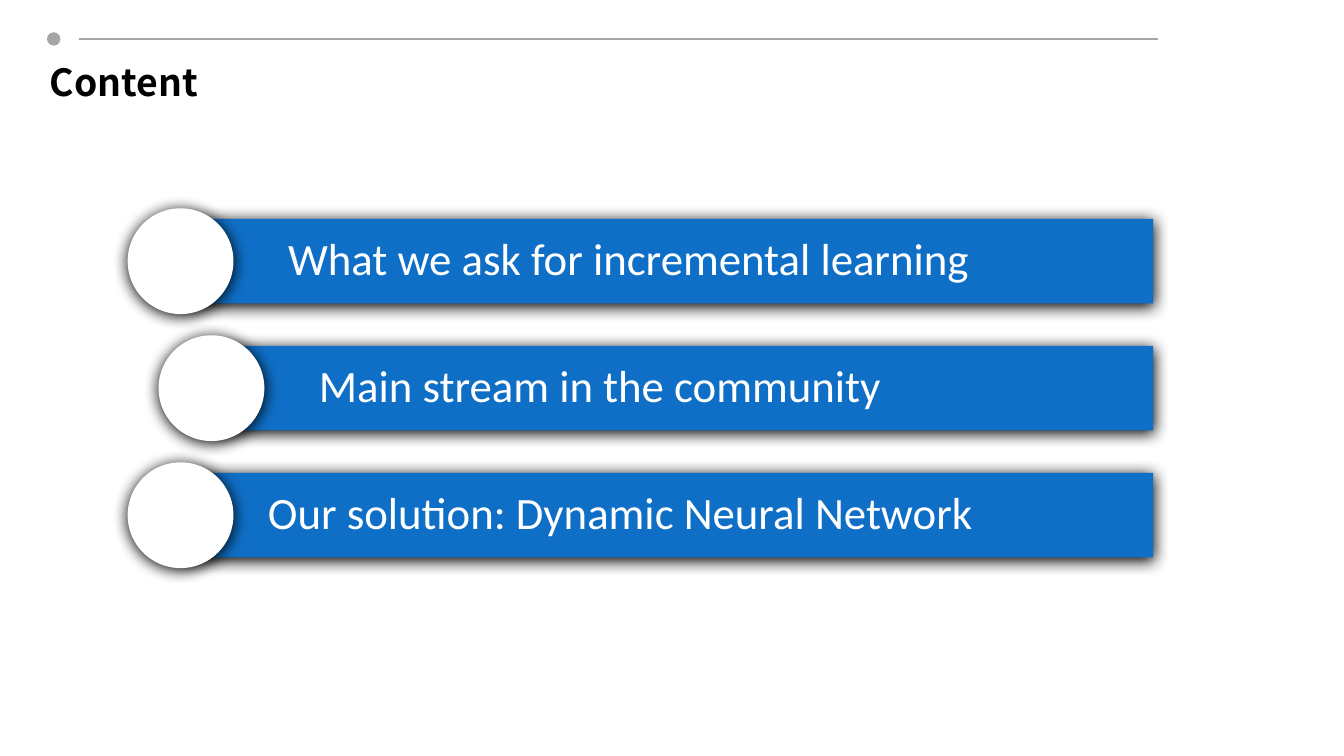
import lxml.etree
import pptx
import pptx.dml.color
import pptx.enum.shapes
import pptx.enum.text
import pptx.oxml.ns
import pptx.util

Inches = pptx.util.Inches
Shapes = pptx.enum.shapes.MSO_SHAPE
qn = pptx.oxml.ns.qn

GREY = "A6A6A6"
BLUE = "0F6FC6"
WHITE = "FFFFFF"
BLACK = "000000"


def paint(color_format, color):
    color_format.rgb = pptx.dml.color.RGBColor.from_string(color)


def format_text(paragraph, font_name, size, color, bold=False):
    paragraph.alignment = pptx.enum.text.PP_ALIGN.LEFT
    for run in paragraph.runs:
        run.font.name = font_name
        run.font.size = pptx.util.Pt(size)
        run.font.bold = bold
        paint(run.font.color, color)


def add_filled_shape(slide, kind, left, top, width, height, color):
    shape = slide.shapes.add_shape(
        kind, Inches(left), Inches(top), Inches(width), Inches(height)
    )
    shape.fill.solid()
    paint(shape.fill.fore_color, color)
    shape.line.fill.background()
    shape.shadow.inherit = False
    return shape


def add_soft_shadow(shape):
    effects = shape.element.spPr.find(qn("a:effectLst"))
    shadow = lxml.etree.SubElement(
        effects,
        qn("a:outerShdw"),
        blurRad=str(pptx.util.Pt(8.5)),
        dist=str(pptx.util.Pt(1)),
        dir="5400000",
        algn="ctr",
        rotWithShape="0",
    )
    lxml.etree.SubElement(shadow, qn("a:srgbClr"), val=BLACK)


def add_header_rule(slide, left, top, width, dot_size):
    middle = Inches(top + dot_size / 2)
    rule = slide.shapes.add_connector(
        pptx.enum.shapes.MSO_CONNECTOR.STRAIGHT,
        Inches(left + 0.24), middle, Inches(left + width), middle,
    )
    paint(rule.line.color, GREY)
    rule.line.width = pptx.util.Pt(0.75)
    lxml.etree.SubElement(rule.element.spPr, qn("a:effectLst"))
    add_filled_shape(slide, Shapes.OVAL, left, top, dot_size, dot_size, GREY)


def place_title(slide, text, left, top, width, height):
    title = slide.shapes.title
    title.left, title.top = Inches(left), Inches(top)
    title.width, title.height = Inches(width), Inches(height)
    frame = title.text_frame
    frame.text = text
    frame.auto_size = pptx.enum.text.MSO_AUTO_SIZE.NONE
    frame.vertical_anchor = pptx.enum.text.MSO_ANCHOR.TOP
    frame.margin_left = Inches(0.09)
    frame.margin_top = Inches(0.01)
    frame.margin_bottom = 0
    format_text(frame.paragraphs[0], "Noto Sans CJK SC", 20, BLACK, bold=True)


def add_agenda_item(slide, text, text_inset, left, top, width, bar_height):
    circle_size = bar_height * 1.25
    bar = add_filled_shape(
        slide, Shapes.RECTANGLE, left + circle_size / 2,
        top + (circle_size - bar_height) / 2,
        width - circle_size / 2, bar_height, BLUE,
    )
    add_soft_shadow(bar)
    frame = bar.text_frame
    frame.word_wrap = True
    frame.vertical_anchor = pptx.enum.text.MSO_ANCHOR.MIDDLE
    frame.margin_left = Inches(text_inset)
    frame.margin_top = frame.margin_right = frame.margin_bottom = Inches(0.07)
    frame.text = text
    paragraph = frame.paragraphs[0]
    paragraph.line_spacing = 0.9
    format_text(paragraph, "Calibri", 24, WHITE)
    circle = add_filled_shape(
        slide, Shapes.OVAL, left, top, circle_size, circle_size, WHITE
    )
    add_soft_shadow(circle)


def add_agenda(slide, items, left, top, width, bar_height):
    pitch = bar_height * 1.5
    for index, (text, indent, text_inset) in enumerate(items):
        add_agenda_item(
            slide, text, text_inset, left + indent, top + index * pitch,
            width - indent, bar_height,
        )


def main():
    presentation = pptx.Presentation()
    presentation.slide_width = Inches(10)
    presentation.slide_height = Inches(10 * 9 / 16)
    slide = presentation.slides.add_slide(presentation.slide_layouts[5])
    add_header_rule(slide, 0.35, 0.24, 8.27, 0.1)
    place_title(slide, "Content", 0.28, 0.43, 6.61, 0.39)
    items = [
        ("What we ask for incremental learning", 0, 0.8),
        ("Main stream in the community", 0.23, 0.8),
        ("Our solution: Dynamic Neural Network", 0, 0.65),
    ]
    add_agenda(slide, items, 0.95, 1.55, 7.63, 0.63)
    presentation.save("out.pptx")


if __name__ == "__main__":
    main()
